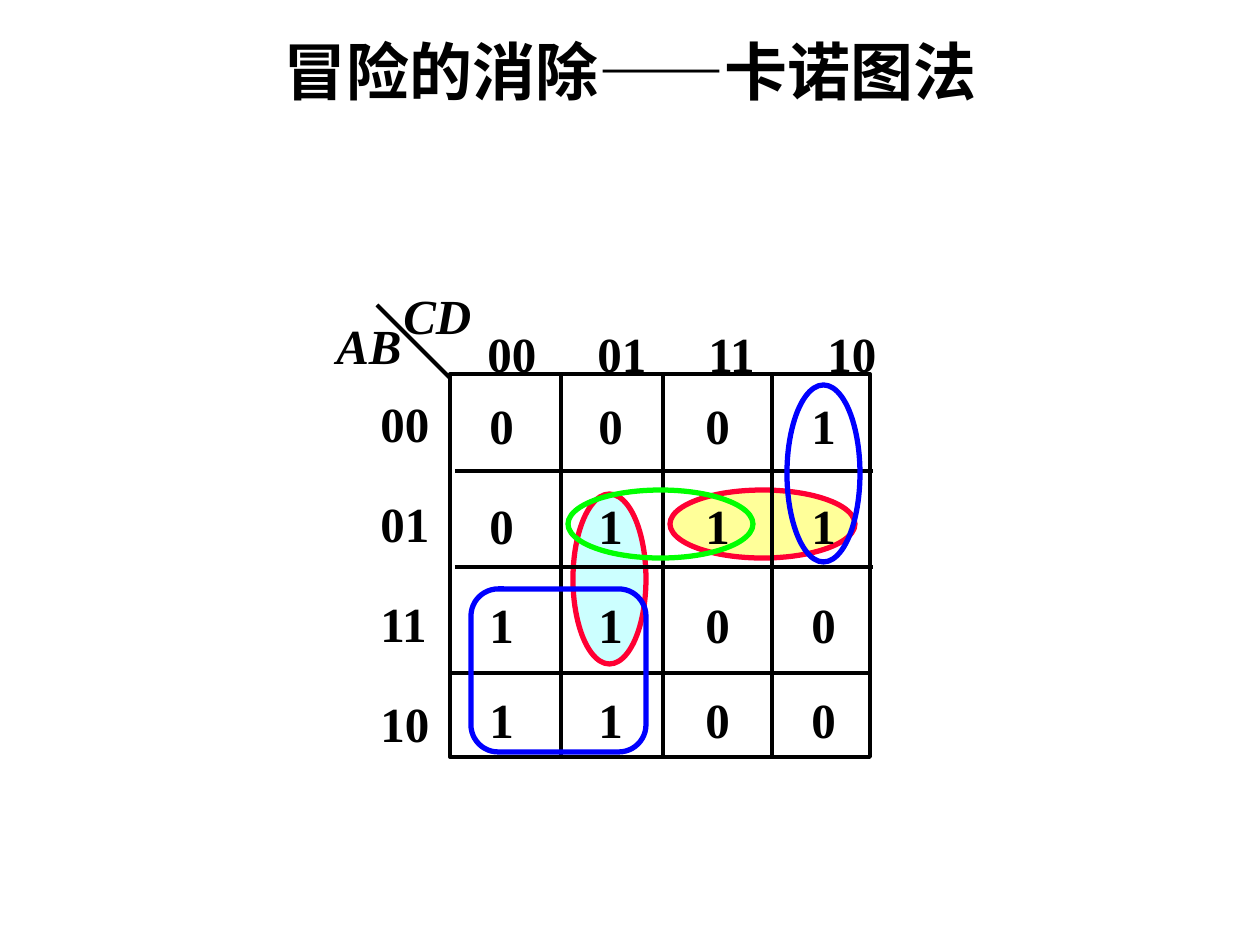
import pptx
import pptx.util
import pptx.dml.color
import pptx.enum.shapes
import pptx.enum.text
import pptx.oxml.ns
import lxml.etree

SHAPE = pptx.enum.shapes.MSO_SHAPE
COLORS = {"black": "000000", "red": "FF0033", "green": "00FF00",
          "blue": "0000FF", "cyan": "CCFFFF", "yellow": "FFFF99"}


class Sketch:
    """Draws styled elements on one slide, measured in pixels."""

    def __init__(self, slide, font="Times New Roman", size=28):
        self.s, self.font, self.size = slide, font, size

    def px(self, *values):
        return [pptx.util.Emu(round(v * 914400 / 126)) for v in values]

    def color(self, name):
        return pptx.dml.color.RGBColor.from_string(COLORS[name])

    def shape(self, kind, box, line, fill=None, width=3):
        sp = self.s.shapes.add_shape(kind, *self.px(*box))
        sp.shadow.inherit = False
        if fill:
            sp.fill.solid()
            sp.fill.fore_color.rgb = self.color(fill)
        else:
            sp.fill.background()
        sp.line.color.rgb = self.color(line)
        sp.line.width = pptx.util.Pt(width)
        return sp

    def line(self, *ends):
        c = self.s.shapes.add_connector(
            pptx.enum.shapes.MSO_CONNECTOR.STRAIGHT, *self.px(*ends))
        c.line.color.rgb = self.color("black")
        c.line.width = pptx.util.Pt(2.25)
        lxml.etree.SubElement(c._element.spPr, pptx.oxml.ns.qn("a:effectLst"))

    def text(self, text, box, font=None, size=None, italic=False,
             spacing=None, center=False, wrap=False, tabs=()):
        tf = self.s.shapes.add_textbox(*self.px(*box)).text_frame
        tf.text = text
        tf.word_wrap = wrap
        for p in tf.paragraphs:
            if spacing:
                p.line_spacing = spacing
            if center:
                p.alignment = pptx.enum.text.PP_ALIGN.CENTER
            if tabs:
                pPr = p._p.get_or_add_pPr()
                stops = lxml.etree.SubElement(pPr, pptx.oxml.ns.qn("a:tabLst"))
                for stop in self.px(*tabs):
                    lxml.etree.SubElement(stops, pptx.oxml.ns.qn("a:tab"),
                                          pos=str(int(stop)), algn="l")
            for r in p.runs:
                r.font.name = font or self.font
                r.font.size = pptx.util.Pt(size or self.size)
                r.font.bold = True
                r.font.italic = italic
                r.font.color.rgb = self.color("black")


prs = pptx.Presentation()
prs.slide_width = pptx.util.Inches(10)
prs.slide_height = pptx.util.Inches(7.5)
sketch = Sketch(prs.slides.add_slide(prs.slide_layouts[6]))

sketch.shape(SHAPE.OVAL, (573, 494, 73, 170), "red", "cyan")
sketch.shape(SHAPE.OVAL, (670, 490, 185, 68), "red", "yellow")

left, top, right, bottom = 450, 374, 870, 757
sketch.shape(SHAPE.RECTANGLE, (left, top, right - left, bottom - top),
             "black", width=2.25)
for x in (561, 663, 772):
    sketch.line(x, top, x, bottom)
for y, start, end in ((471, 455, 873), (567, 455, 873), (673, 450, 869)):
    sketch.line(start, y, end, y)
sketch.line(377, 305, left, 378)

sketch.text("CD", (391, 279, 93, 72), italic=True)
sketch.text("AB", (324, 309, 91, 72), italic=True)
sketch.text("00\t01\t11\t10", (475, 317, 417, 72), tabs=(110, 221, 340))
sketch.text("00\n01\n11\n10", (368, 346, 87, 412), spacing=1.7, wrap=True)

values = ("0001", "0111", "1100", "1100")
for row, y in zip(values, (389, 489, 588, 683)):
    for value, x in zip(row, (477, 586, 693, 799)):
        sketch.text(value, (x, y, 50, 72))

sketch.shape(SHAPE.OVAL, (568, 490, 185, 68), "green")
sketch.shape(SHAPE.OVAL, (787, 385, 73, 177), "blue")
sketch.shape(SHAPE.ROUNDED_RECTANGLE, (471, 589, 175, 163), "blue")

sketch.text("冒险的消除——卡诺图法", (0, 26, 1260, 89), font="Arial", size=36,
            center=True, wrap=True)

prs.save("out.pptx")
